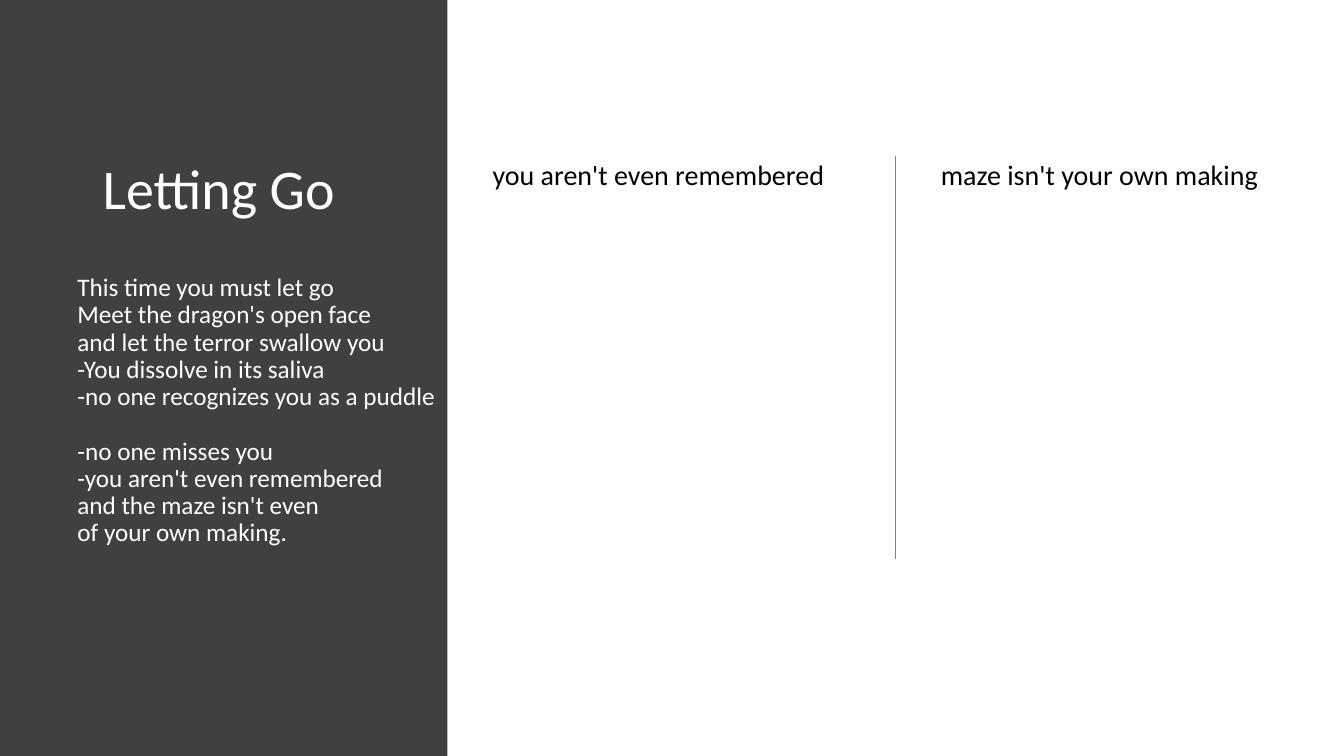
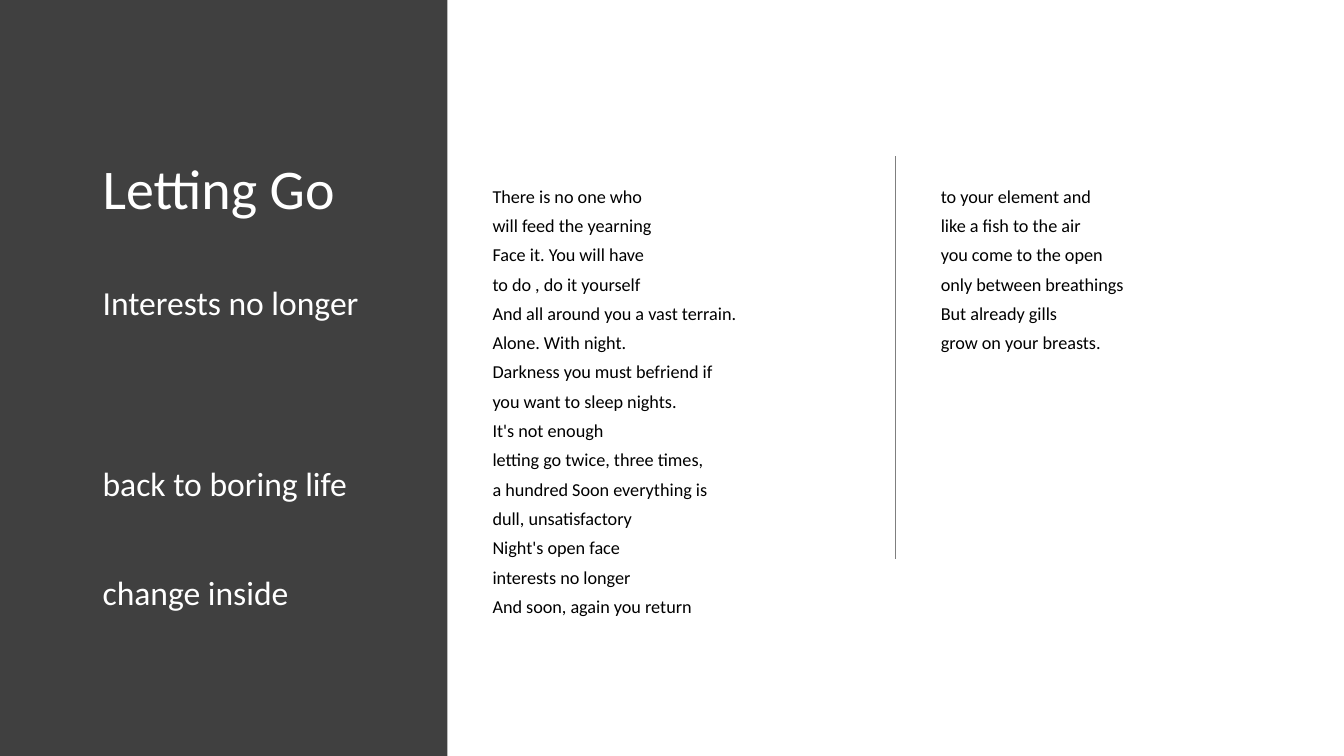
from collections import namedtuple
from dataclasses import dataclass

from pptx import Presentation
from pptx.dml.color import RGBColor
from pptx.enum.shapes import MSO_CONNECTOR as Connector, MSO_SHAPE as Shape
from pptx.enum.text import MSO_ANCHOR as Anchor, PP_ALIGN as Align
from pptx.oxml.ns import qn
from pptx.util import Pt
from lxml.etree import SubElement

Box = namedtuple("Box", "left top width height")
# drop: extra space above the first line; gap: space before each later one
Style = namedtuple("Style", "size color spacing drop gap")


@dataclass(frozen=True)
class Theme:
    font: str = "Calibri"
    panel: RGBColor = RGBColor(0x40, 0x40, 0x40)
    rule: RGBColor = RGBColor(0x7F, 0x7F, 0x7F)
    light: RGBColor = RGBColor(0xFF, 0xFF, 0xFF)
    dark: RGBColor = RGBColor(0x00, 0x00, 0x00)
    inset_x: float = 7.2
    inset_y: float = 3.6


THEME = Theme()
TITLE = Style(40, THEME.light, 0.9, 0, 0)
POEM = Style(18, THEME.light, 0.9, 18.6, 0)
THEMES = Style(24, THEME.light, 0.9, 0, 0)
HEADING = Style(20, THEME.dark, 0.9, 0, 10)
VERSE = Style(13, THEME.dark, 0.7, 21.1, 10)

SLIDE_WIDTH, SLIDE_HEIGHT = 960.48, 540
PANEL = Box(0, 0, 319.68, SLIDE_HEIGHT)
CONTENT = Box(344.88, 111.6, 572.4, 343.44)

POEM_BOX = Box(48.24, 174.24, 271.44, 343.44)
POEM_LINES = [
    "This time you must let go",
    "Meet the dragon's open face",
    "and let the terror swallow you",
    "-You dissolve in its saliva",
    "-no one recognizes you as a puddle",
    ("-no one misses you", 19.5),
    "-you aren't even remembered",
    "and the maze isn't even",
    "of your own making.",
]
THEMES_BOX = Box(66.24, 200.88, 228.24, 284.4)
THEME_LINES = [
    "Interests no longer",
    ("back to boring life", 103.6),
    ("change inside", 51.8),
]
VERSE_LEFT = [
    "There is no one who",
    "will feed the yearning",
    "Face it. You will have",
    "to do , do it yourself",
    "And all around you a vast terrain.",
    "Alone. With night.",
    "Darkness you must befriend if",
    "you want to sleep nights.",
    "It's not enough",
    "letting go twice, three times,",
    "a hundred Soon everything is",
    "dull, unsatisfactory",
    "Night's open face",
    "interests no longer",
    "And soon, again you return",
]
VERSE_RIGHT = [
    "to your element and",
    "like a fish to the air",
    "you come to the open",
    "only between breathings",
    "But already gills",
    "grow on your breasts.",
]


def add_text(page, box, lines, style):
    """Place one paragraph per line; a (text, gap) pair sets its own gap."""
    frame = page.shapes.add_textbox(*map(Pt, box)).text_frame
    frame.word_wrap = True
    frame.vertical_anchor = Anchor.TOP
    frame.margin_left = frame.margin_right = Pt(THEME.inset_x)
    frame.margin_top = Pt(THEME.inset_y + style.drop)
    frame.margin_bottom = Pt(THEME.inset_y)
    for index, line in enumerate(lines):
        text, gap = line if isinstance(line, tuple) else (line, style.gap)
        para = frame.add_paragraph() if index else frame.paragraphs[0]
        para.alignment = Align.LEFT
        para.line_spacing = style.spacing
        para.space_before = Pt(gap if index else 0)
        span = para.add_run()
        span.text = text
        span.font.name = THEME.font
        span.font.size = Pt(style.size)
        span.font.color.rgb = style.color


def add_panel(page, box, body_box, body_lines, body_style):
    panel = page.shapes.add_shape(Shape.RECTANGLE, *map(Pt, box))
    panel.shadow.inherit = False
    panel.fill.solid()
    panel.fill.fore_color.rgb = THEME.panel
    panel.line.fill.background()
    add_text(page, body_box, body_lines, body_style)
    title_box = Box(box.left + 66.24, box.top + 111.6, 228.24, 343.44)
    add_text(page, title_box, ["Letting Go"], TITLE)


def add_columns(page, box, left_lines, right_lines, style):
    """Two text columns with a vertical rule between them."""
    left = box._replace(width=270)
    right = box._replace(left=box.left + box.width - 252, width=252)
    add_text(page, left, left_lines, style)
    rule_x = (left.left + left.width + right.left) / 2
    rule = page.shapes.add_connector(
        Connector.STRAIGHT,
        *map(Pt, (rule_x, box.top, rule_x, box.top + 288)))
    rule.line.color.rgb = THEME.rule
    rule.line.width = Pt(1)
    SubElement(rule.element.spPr, qn("a:effectLst"))
    add_text(page, right, right_lines, style)


def add_page(deck, panel_text, column_text):
    page = deck.slides.add_slide(deck.slide_layouts[6])
    add_panel(page, PANEL, *panel_text)
    add_columns(page, CONTENT, *column_text)


def main():
    deck = Presentation()
    deck.slide_width, deck.slide_height = Pt(SLIDE_WIDTH), Pt(SLIDE_HEIGHT)
    add_page(deck, (POEM_BOX, POEM_LINES, POEM),
             (["you aren't even remembered"],
              ["maze isn't your own making"], HEADING))
    add_page(deck, (THEMES_BOX, THEME_LINES, THEMES),
             (VERSE_LEFT, VERSE_RIGHT, VERSE))
    deck.save("out.pptx")


if __name__ == "__main__":
    main()
